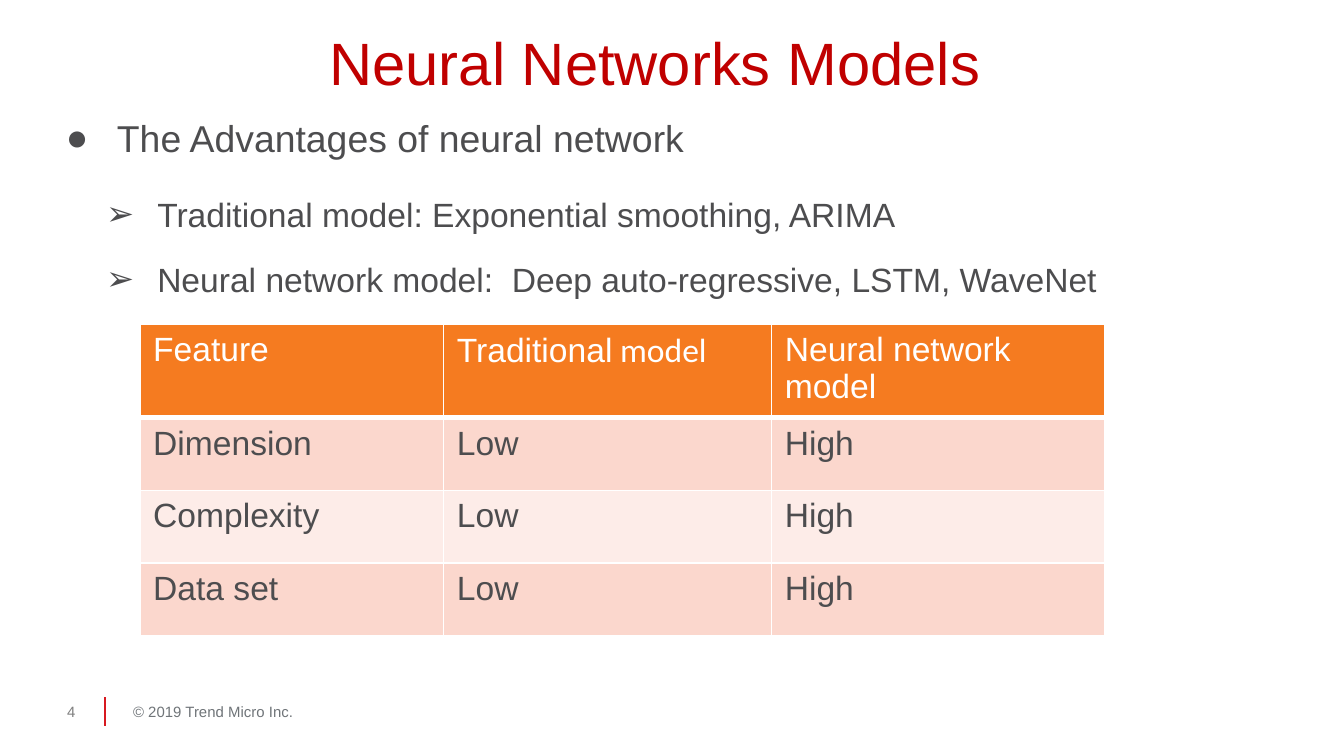
from lxml import etree
from pptx import Presentation
from pptx.dml.color import RGBColor
from pptx.enum.shapes import MSO_CONNECTOR
from pptx.enum.text import MSO_ANCHOR, MSO_AUTO_SIZE, PP_ALIGN
from pptx.oxml.ns import qn
from pptx.util import Inches, Pt

STRAIGHT = MSO_CONNECTOR.STRAIGHT
MIDDLE, TOP = MSO_ANCHOR.MIDDLE, MSO_ANCHOR.TOP
CENTER, LEFT = PP_ALIGN.CENTER, PP_ALIGN.LEFT
NO_AUTOFIT = MSO_AUTO_SIZE.NONE

DARK = "4D4D4F"
WHITE = "FFFFFF"
ORANGE = "F57B20"
BANDS = ["FBD7CD", "FDECE8"]

BULLETS = [
    ("The Advantages of neural network", "●", 20, 0.38, 0),
    ("Traditional model: Exponential smoothing, ARIMA", "➢", 18, 0.68, 18),
    ("Neural network model:  Deep auto-regressive, LSTM, WaveNet", "➢", 18, 0.68, 13),
]
ROWS = [
    ["Feature", "Traditional", "Neural network model"],
    ["Dimension", "Low", "High"],
    ["Complexity", "Low", "High"],
    ["Data set", "Low", "High"],
]
COLUMN_WIDTHS = [2.26, 2.44, 2.48]
ROW_HEIGHTS = [0.7, 0.54, 0.54, 0.54]


def color(value):
    return RGBColor.from_string(value)


def place(shape, left, top, width, height):
    shape.left, shape.top = Inches(left), Inches(top)
    shape.width, shape.height = Inches(width), Inches(height)


def style_span(span, size, fill, name="Arial"):
    span.font.size = Pt(size)
    span.font.name = name
    span.font.color.rgb = color(fill)


def set_frame(frame, anchor, left=0, top=0, right=0, bottom=0):
    frame.word_wrap = True
    frame.auto_size = NO_AUTOFIT
    frame.vertical_anchor = anchor
    frame.margin_left, frame.margin_top = Inches(left), Inches(top)
    frame.margin_right, frame.margin_bottom = Inches(right), Inches(bottom)


def set_title(page):
    title = page.shapes.title
    place(title, 0.5, 0.22, 8.75, 0.58)
    set_frame(title.text_frame, MIDDLE, bottom=0.1)
    title.text_frame.text = "Neural Networks Models"
    paragraph = title.text_frame.paragraphs[0]
    paragraph.alignment = CENTER
    style_span(paragraph.runs[0], 32, "C00000")


def set_bullets(page):
    body = page.placeholders[1]
    place(body, 0.39, 0.81, 9.24, 1.46)
    frame = body.text_frame
    set_frame(frame, TOP, 0.1, 0.05, 0.1, 0.05)
    frame.text = "\n".join(item[0] for item in BULLETS)
    for paragraph, (_, mark, size, indent, gap) in zip(frame.paragraphs, BULLETS):
        properties = paragraph._p.get_or_add_pPr()
        properties.set("marL", str(Inches(indent)))
        properties.set("indent", str(-Inches(0.38)))
        etree.SubElement(properties, qn("a:buChar")).set("char", mark)
        paragraph.alignment = LEFT
        paragraph.space_before = Pt(gap)
        style_span(paragraph.runs[0], size, DARK)


def set_borders(cell, bottom):
    properties = cell._tc.get_or_add_tcPr()
    widths = {"a:lnL": 1, "a:lnR": 1, "a:lnT": 1, "a:lnB": bottom}
    for side, width in widths.items():
        line = etree.SubElement(properties, qn(side), w=str(Pt(width)))
        fill = etree.SubElement(line, qn("a:solidFill"))
        etree.SubElement(fill, qn("a:srgbClr"), val=WHITE)


def add_comparison(page):
    table = page.shapes.add_table(
        len(ROWS), len(COLUMN_WIDTHS), Inches(1.04), Inches(2.41),
        Inches(sum(COLUMN_WIDTHS)), Inches(sum(ROW_HEIGHTS))).table
    for column, width in zip(table.columns, COLUMN_WIDTHS):
        column.width = Inches(width)
    for row, height in zip(table.rows, ROW_HEIGHTS):
        row.height = Inches(height)
    for i, texts in enumerate(ROWS):
        background = BANDS[(i - 1) % 2] if i else ORANGE
        for j, text in enumerate(texts):
            cell = table.cell(i, j)
            set_borders(cell, 1 if i else 3)
            cell.fill.solid()
            cell.fill.fore_color.rgb = color(background)
            cell.text_frame.text = text
            span = cell.text_frame.paragraphs[0].runs[0]
            style_span(span, 18, DARK if i else WHITE)
            span.font.bold = False
    span = table.cell(0, 1).text_frame.paragraphs[0].add_run()
    span.text = " model"
    style_span(span, 18, WHITE, "Calibri")
    span.font.bold = False


def add_footer_text(page, text, left, width, fill):
    box = page.shapes.add_textbox(
        Inches(left), Inches(5.14), Inches(width), Inches(0.31))
    set_frame(box.text_frame, MIDDLE)
    box.text_frame.text = text
    style_span(box.text_frame.paragraphs[0].runs[0], 8, fill)


def add_footer_rule(page):
    rule = page.shapes.add_connector(
        STRAIGHT, Inches(0.78), Inches(5.19), Inches(0.78), Inches(5.4))
    rule.line.color.rgb = color("D71920")
    rule.line.width = Pt(1)
    etree.SubElement(rule._element.spPr, qn("a:effectLst"))


def main():
    deck = Presentation()
    deck.slide_width = Inches(10)
    deck.slide_height = deck.slide_width * 9 // 16
    page = deck.slides.add_slide(deck.slide_layouts[1])
    page.background.fill.solid()
    page.background.fill.fore_color.rgb = color(WHITE)
    add_footer_rule(page)
    add_footer_text(page, "© 2019 Trend Micro Inc.", 0.99, 1.67, "6F7478")
    add_footer_text(page, "4", 0.5, 0.25, "7F7F7F")
    set_title(page)
    set_bullets(page)
    add_comparison(page)
    deck.save("out.pptx")


if __name__ == "__main__":
    main()
